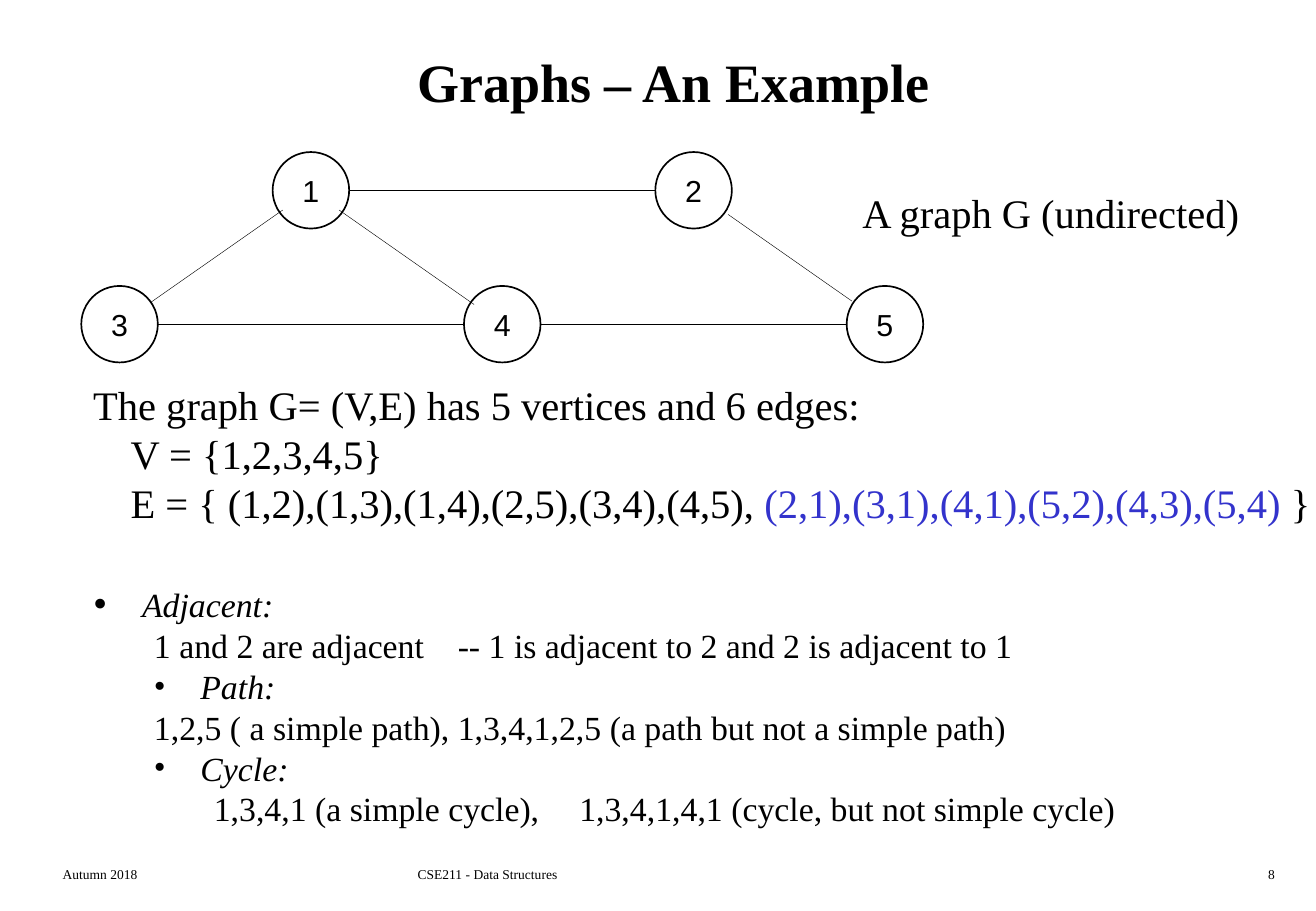
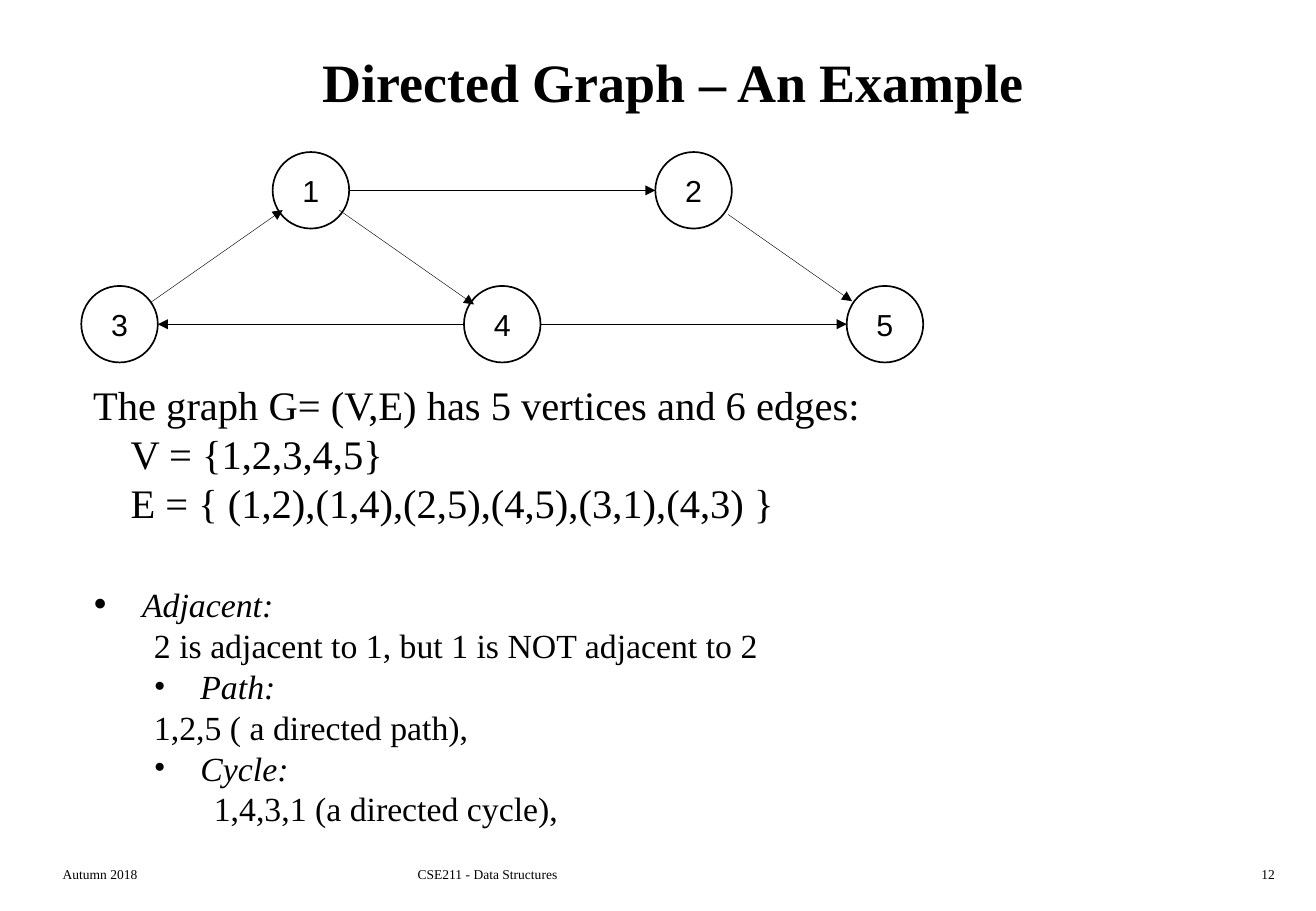
from math import hypot

from lxml import etree
from pptx import Presentation
from pptx.dml.color import RGBColor
from pptx.enum.shapes import MSO_CONNECTOR, MSO_SHAPE
from pptx.enum.text import MSO_ANCHOR, PP_ALIGN
from pptx.oxml.ns import qn
from pptx.util import Cm, Pt

BLACK = RGBColor(0, 0, 0)
BLUE = RGBColor(0x33, 0x33, 0xCC)
SERIF, SANS = "Times New Roman", "Arial"
LEFT, CENTER, RIGHT = PP_ALIGN.LEFT, PP_ALIGN.CENTER, PP_ALIGN.RIGHT
TOP, MIDDLE = MSO_ANCHOR.TOP, MSO_ANCHOR.MIDDLE
OVAL, STRAIGHT = MSO_SHAPE.OVAL, MSO_CONNECTOR.STRAIGHT

# Graph geometry in cm: vertex -> (column, row)
VERTICES = {1: (1, 0), 4: (2, 1), 2: (3, 0), 5: (4, 1), 3: (0, 1)}
GRAPH_LEFT, GRAPH_TOP = 1.7, 3.18
COLUMN_STEP, ROW_STEP, DIAMETER = 4, 2.8, 1.6
# (from, to, gap from start centre, gap to end centre)
EDGES = [
    (1, 4, 0.72, 0.72),
    (1, 2, 0.8, 0.8),
    (2, 5, 0.88, 0.84),
    (4, 3, 0.8, 0.8),
    (4, 5, 0.8, 0.8),
    (3, 1, 0.79, 0.72),
]

# style: (margin cm, first-line indent cm, size, line pitch, space before, bullet %)
STYLES = {
    "lead": (0, 0, 24, 29, 0, None),
    "set": (0, 0.78, 24, 29, 0, None),
    "topic": (1.02, -1.02, 20, 29, 29, 120),
    "subtopic": (2.24, -0.97, 20, 24.2, 0, 100),
    "example": (0, 1.27, 20, 24.2, 0, None),
    "cycle": (0, 2.52, 20, 24.2, 0, None),
}
ITALIC_STYLES = ("topic", "subtopic")

FOOTERS = [("Autumn 2018", 1.06, 5.74, LEFT),
           ("CSE211 - Data Structures", 8.48, 10.31, LEFT)]
LEAD = "The graph G= (V,E) has 5 vertices and 6 edges:"
VERTEX_SET = "V = {1,2,3,4,5}"

# each body line: (style, [(text, colour)], tab stop cm)
SLIDES = [
    {
        "title": "Graphs – An Example", "number": "8", "directed": False,
        "caption": "A graph G (undirected)", "body_width": 25.8,
        "edge_set": [("E = { (1,2),(1,3),(1,4),(2,5),(3,4),(4,5), ", BLACK),
                     ("(2,1),(3,1),(4,1),(5,2),(4,3),(5,4)", BLUE),
                     (" }", BLACK)],
        "adjacent": ("1 and 2 are adjacent\t-- 1 is adjacent to 2 "
                     "and 2 is adjacent to 1", 7.26),
        "path": ("1,2,5 ( a simple path),\t1,3,4,1,2,5 "
                 "(a path but not a simple path)", 8.33),
        "cycle": ("1,3,4,1 (a simple cycle),\t1,3,4,1,4,1 "
                  "(cycle, but not simple cycle)", 9.67),
    },
    {
        "title": "Directed Graph – An Example", "number": "12", "directed": True,
        "caption": None, "body_width": 16.64,
        "edge_set": [("E = { (1,2),(1,4),(2,5),(4,5),(3,1),(4,3) }", BLACK)],
        "adjacent": ("2 is adjacent to 1, but 1 is NOT adjacent to 2", None),
        "path": ("1,2,5 ( a directed path),", None),
        "cycle": ("1,4,3,1 (a directed cycle),", None),
    },
]


def set_font(paragraph, size, name=SERIF, bold=False, italic=False):
    """Set the font shared by all spans of a paragraph."""
    font = paragraph.font
    font.size, font.name, font.bold, font.italic = Pt(size), name, bold, italic
    font.color.rgb = BLACK


def add_box(page, left, top, width, height, anchor=TOP):
    """Add a wrapping text box, placed in cm, and return its text frame."""
    frame = page.shapes.add_textbox(
        Cm(left), Cm(top), Cm(width), Cm(height)).text_frame
    frame.word_wrap = True
    frame.vertical_anchor = anchor
    return frame


def add_label(page, text, place, size, align=LEFT, anchor=TOP, bold=False):
    """Add a one-paragraph text box and return the paragraph."""
    para = add_box(page, *place, anchor).paragraphs[0]
    para.text = text
    para.alignment = align
    set_font(para, size, bold=bold)
    return para


def add_frame(page, title, number):
    """Add the title and the footer row."""
    add_label(page, title, (1.06, 0.43, 26.04, 2.54), 32, CENTER, MIDDLE, True)
    for text, left, width, align in FOOTERS + [(number, 21.16, 5.74, RIGHT)]:
        add_label(page, text, (left, 17.98, width, 0.64), 8, align)


def centre(vertex):
    """Return the centre of a vertex in cm."""
    column, row = VERTICES[vertex]
    return (GRAPH_LEFT + column * COLUMN_STEP + DIAMETER / 2,
            GRAPH_TOP + row * ROW_STEP + DIAMETER / 2)


def add_edge(page, start, end, start_gap, end_gap, directed):
    """Draw an edge between two vertices, with an arrowhead if directed."""
    (x1, y1), (x2, y2) = centre(start), centre(end)
    length = hypot(x2 - x1, y2 - y1)
    dx, dy = (x2 - x1) / length, (y2 - y1) / length
    edge = page.shapes.add_connector(
        STRAIGHT, Cm(x1 + dx * start_gap), Cm(y1 + dy * start_gap),
        Cm(x2 - dx * end_gap), Cm(y2 - dy * end_gap))
    edge.line.color.rgb = BLACK
    edge.line.width = Pt(0.25)
    if directed:
        line = edge.line._get_or_add_ln()
        etree.SubElement(line, qn("a:tailEnd"), type="triangle")
    etree.SubElement(edge._element.spPr, qn("a:effectLst"))


def add_vertex(page, vertex):
    """Draw a numbered circle."""
    x, y = centre(vertex)
    circle = page.shapes.add_shape(
        OVAL, Cm(x - DIAMETER / 2), Cm(y - DIAMETER / 2),
        Cm(DIAMETER), Cm(DIAMETER))
    circle.shadow.inherit = False
    circle.fill.background()
    circle.line.color.rgb = BLACK
    circle.line.width = Pt(1)
    frame = circle.text_frame
    frame.word_wrap = False
    frame.vertical_anchor = MIDDLE
    para = frame.paragraphs[0]
    para.text = str(vertex)
    para.alignment = CENTER
    set_font(para, 18, SANS)


def format_line(para, style, tab):
    """Apply a body style, its bullet and an optional tab stop."""
    margin, indent, size, pitch, before, bullet = STYLES[style]
    set_font(para, size, italic=style in ITALIC_STYLES)
    para.line_spacing, para.space_before = Pt(pitch), Pt(before)
    properties = para._p.get_or_add_pPr()
    properties.set("marL", str(Cm(margin)))
    properties.set("indent", str(Cm(indent)))
    following = properties.find(qn("a:defRPr"))
    extras = []
    if bullet:
        extras.append(etree.Element(qn("a:buSzPct"), val=str(bullet * 1000)))
        extras.append(etree.Element(qn("a:buFont"), typeface=SERIF))
        extras.append(etree.Element(qn("a:buChar"), char="•"))
    if tab:
        stops = etree.Element(qn("a:tabLst"))
        etree.SubElement(stops, qn("a:tab"), pos=str(Cm(tab)), algn="l")
        extras.append(stops)
    for extra in extras:
        following.addprevious(extra)


def body_lines(content):
    """List the body lines of a slide as (style, spans, tab stop)."""
    lines = [("lead", [(LEAD, BLACK)], None),
             ("set", [(VERTEX_SET, BLACK)], None),
             ("set", content["edge_set"], None)]
    for key, heading_style, text_style in (("adjacent", "topic", "example"),
                                           ("path", "subtopic", "example"),
                                           ("cycle", "subtopic", "cycle")):
        text, tab = content[key]
        lines.append((heading_style, [(key.title() + ":", BLACK)], None))
        lines.append((text_style, [(text, BLACK)], tab))
    return lines


def add_body(page, content):
    """Add the explanation below the graph."""
    frame = add_box(page, 1.7, 7.82, content["body_width"], 9.55)
    frame.margin_right = 0
    for index, (style, spans, tab) in enumerate(body_lines(content)):
        para = frame.add_paragraph() if index else frame.paragraphs[0]
        format_line(para, style, tab)
        for text, colour in spans:
            span = para.add_run()
            span.text = text
            if colour != BLACK:
                span.font.color.rgb = colour


def build():
    """Build and save the deck."""
    deck = Presentation()
    deck.slide_width, deck.slide_height = Cm(27.51), Cm(19.05)
    for content in SLIDES:
        page = deck.slides.add_slide(deck.slide_layouts[6])
        add_frame(page, content["title"], content["number"])
        for edge in EDGES:
            add_edge(page, *edge, content["directed"])
        for vertex in VERTICES:
            add_vertex(page, vertex)
        if content["caption"]:
            caption = add_label(page, content["caption"],
                                (17.78, 3.81, 8.43, 1.27), 24)
            caption.line_spacing = Pt(29)
        add_body(page, content)
    deck.save("out.pptx")


build()
